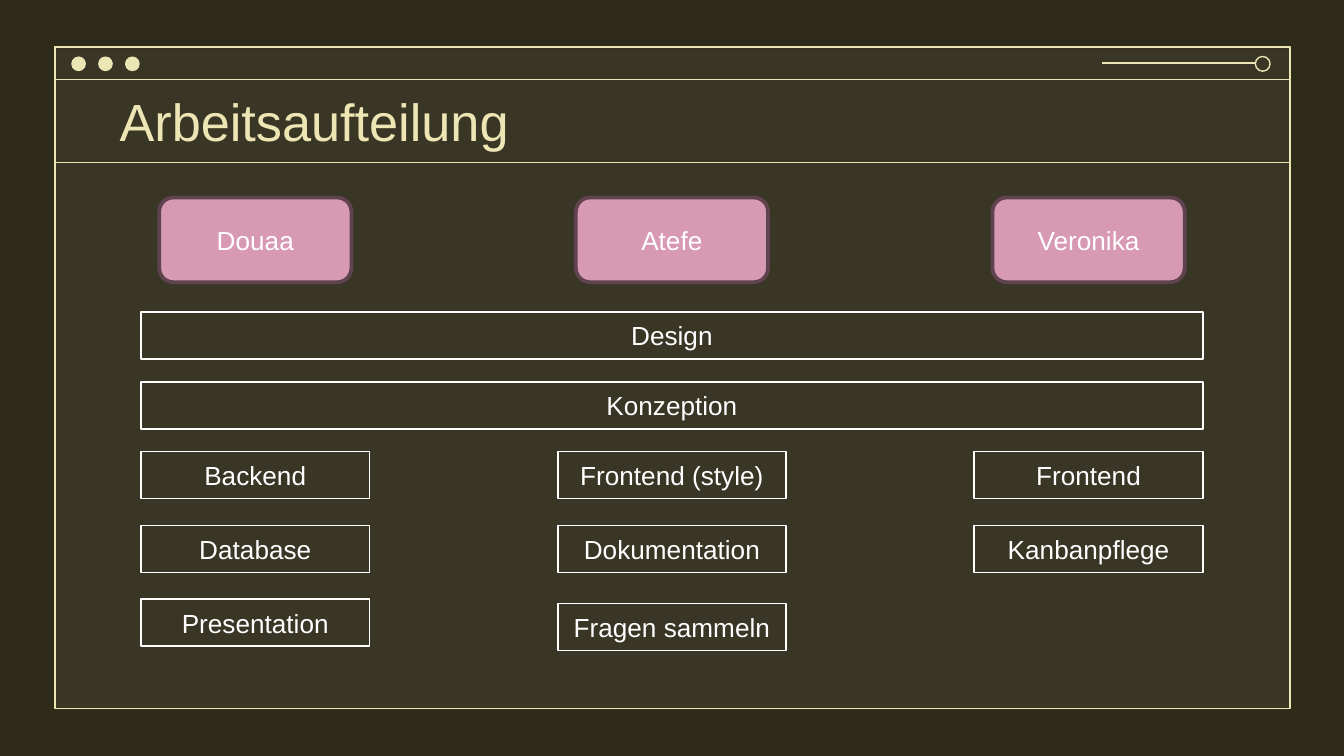
"""Build the slide that shows how the work is divided among the team."""
from dataclasses import dataclass
from typing import Optional

from lxml.etree import SubElement
from pptx import Presentation
from pptx.dml.color import RGBColor
from pptx.enum.shapes import MSO_CONNECTOR, MSO_SHAPE
from pptx.enum.text import MSO_ANCHOR, PP_ALIGN
from pptx.oxml.ns import qn
from pptx.util import Inches, Pt

SLIDE_WIDTH = 10
SLIDE_HEIGHT = SLIDE_WIDTH * 9 / 16
CREAM = "ECE5B4"
WHITE = "FFFFFF"
TASK_WIDTH, TASK_HEIGHT = 1.7, 0.35
NAME_WIDTH, NAME_HEIGHT = 1.43, 0.63
WIDE_WIDTH = 7.9
COLUMN_LEFT = (SLIDE_WIDTH - WIDE_WIDTH) / 2
COLUMN_PITCH = (WIDE_WIDTH - TASK_WIDTH) / 2
SHARED_TASKS = {"Design": 2.32, "Konzeption": 2.84}


@dataclass
class Box:
    left: float
    top: float
    width: float
    height: float
    kind: MSO_SHAPE = MSO_SHAPE.RECTANGLE
    fill: Optional[str] = None
    line: Optional[str] = None
    line_width: float = 0.75
    text: str = ""


@dataclass
class Member:
    name: str
    tasks: dict[str, float]


MEMBERS = [
    Member("Douaa", {"Backend": 3.36, "Database": 3.91, "Presentation": 4.46}),
    Member("Atefe", {"Frontend (style)": 3.36, "Dokumentation": 3.91, "Fragen sammeln": 4.49}),
    Member("Veronika", {"Frontend": 3.36, "Kanbanpflege": 3.91}),
]


def color(value: str) -> RGBColor:
    return RGBColor.from_string(value)


def write(shape, text: str, alignment, size: int, text_color: str) -> None:
    frame = shape.text_frame
    frame.text = text
    frame_format = {"word_wrap": True, "vertical_anchor": MSO_ANCHOR.MIDDLE}
    for name, value in frame_format.items():
        setattr(frame, name, value)
    paragraph = frame.paragraphs[0]
    paragraph.alignment = alignment
    font = paragraph.runs[0].font
    for name, value in {"name": "Arial", "size": Pt(size), "bold": False}.items():
        setattr(font, name, value)
    font.color.rgb = color(text_color)


def draw_box(slide, box: Box):
    bounds = map(Inches, (box.left, box.top, box.width, box.height))
    shape = slide.shapes.add_shape(box.kind, *bounds)
    shape.shadow.inherit = False
    if box.fill:
        shape.fill.solid()
        shape.fill.fore_color.rgb = color(box.fill)
    else:
        shape.fill.background()
    if box.line:
        shape.line.color.rgb = color(box.line)
        shape.line.width = Pt(box.line_width)
    else:
        shape.line.fill.background()
    if box.text:
        write(shape, box.text, PP_ALIGN.CENTER, 14, WHITE)
    return shape


def draw_line(slide, left: float, right: float, top: float) -> None:
    ends = map(Inches, (left, top, right, top))
    connector = slide.shapes.add_connector(MSO_CONNECTOR.STRAIGHT, *ends)
    connector.line.color.rgb = color(CREAM)
    connector.line.width = Pt(0.75)
    SubElement(connector.element.spPr, qn("a:effectLst"))


def draw_window(slide) -> None:
    panel = draw_box(slide, Box(0.41, 0.36, 9.18, 4.92, fill="7C7C7C"))
    tint = panel.element.spPr.find(qn("a:solidFill"))[0]
    SubElement(tint, qn("a:alpha"), val="14000")
    for height in (4.92, 0.24):
        draw_box(slide, Box(0.41, 0.35, 9.19, height, line=CREAM))
    for index in range(3):
        draw_box(slide, Box(0.53 + 0.2 * index, 0.42, 0.11, 0.11, MSO_SHAPE.OVAL, fill=CREAM))
    draw_box(slide, Box(9.34, 0.42, 0.11, 0.11, MSO_SHAPE.OVAL, line=CREAM))
    draw_line(slide, 8.2, 9.34, 0.47)
    draw_line(slide, 0.41, 9.59, 1.21)


def place_title(slide, text: str) -> None:
    title = slide.shapes.title
    bounds = {"left": 0.79, "top": 0.59, "width": 8.43, "height": 0.62}
    for name, value in bounds.items():
        setattr(title, name, Inches(value))
    for side in ("left", "top", "right", "bottom"):
        setattr(title.text_frame, f"margin_{side}", Inches(0.1))
    write(title, text, PP_ALIGN.LEFT, 28, "EDE5B4")
    slide.shapes.element.append(title.element)


def draw_task(slide, text: str, left: float, top: float, width: float) -> None:
    draw_box(slide, Box(left, top, width, TASK_HEIGHT, line=WHITE, line_width=1, text=text))


def draw_member(slide, member: Member, left: float) -> None:
    name_left = left + (TASK_WIDTH - NAME_WIDTH) / 2
    draw_box(slide, Box(name_left, 1.47, NAME_WIDTH, NAME_HEIGHT, MSO_SHAPE.ROUNDED_RECTANGLE,
                        "D899B3", "5F434E", 2, member.name))
    for task, top in member.tasks.items():
        draw_task(slide, task, left, top, TASK_WIDTH)


def main() -> None:
    presentation = Presentation()
    presentation.slide_width = Inches(SLIDE_WIDTH)
    presentation.slide_height = Inches(SLIDE_HEIGHT)
    slide = presentation.slides.add_slide(presentation.slide_layouts[5])
    slide.background.fill.solid()
    slide.background.fill.fore_color.rgb = color("2F2B19")
    draw_window(slide)
    place_title(slide, "Arbeitsaufteilung")
    for task, top in SHARED_TASKS.items():
        draw_task(slide, task, COLUMN_LEFT, top, WIDE_WIDTH)
    for index, member in enumerate(MEMBERS):
        draw_member(slide, member, COLUMN_LEFT + COLUMN_PITCH * index)
    presentation.save("out.pptx")


if __name__ == "__main__":
    main()
